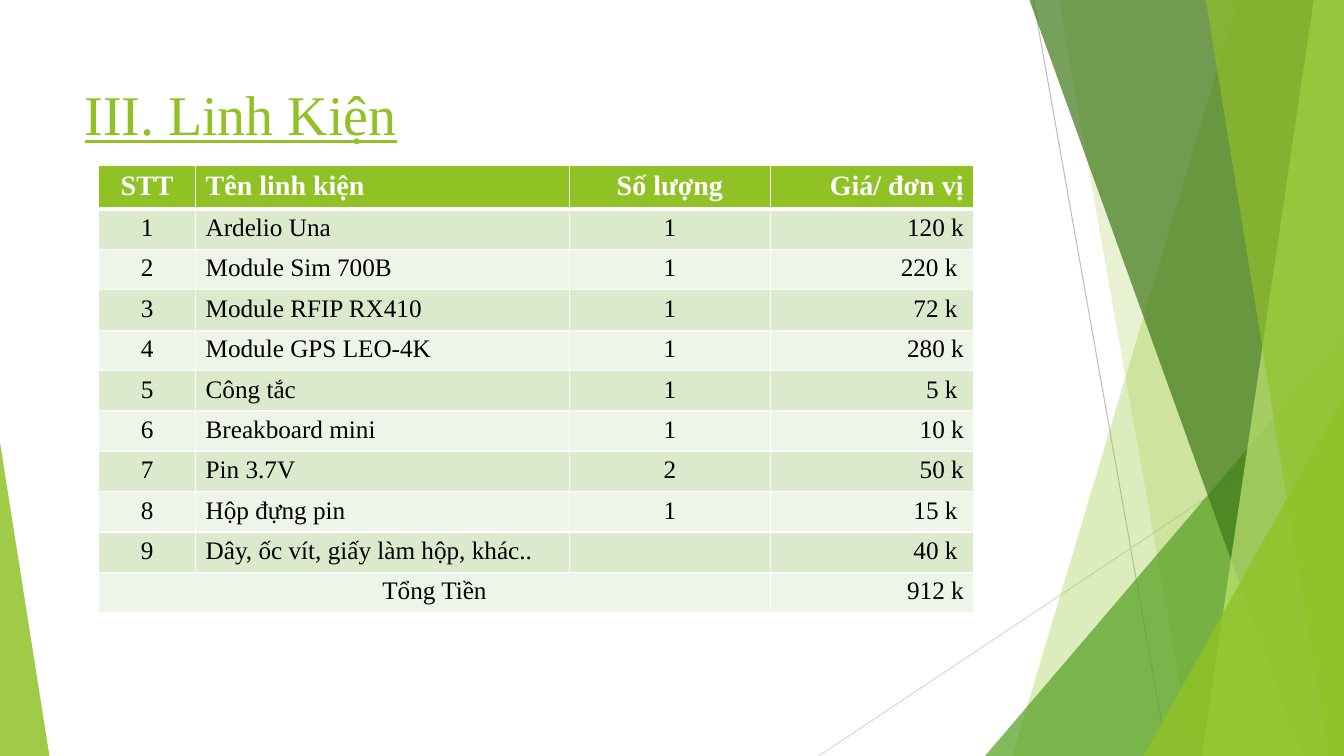
from dataclasses import dataclass

from lxml import etree
from pptx import Presentation
from pptx.dml.color import RGBColor
from pptx.enum.shapes import MSO_CONNECTOR, MSO_SHAPE
from pptx.enum.text import MSO_ANCHOR, PP_ALIGN
from pptx.oxml.ns import qn
from pptx.util import Inches, Pt

LEFT, CENTER, RIGHT = PP_ALIGN.LEFT, PP_ALIGN.CENTER, PP_ALIGN.RIGHT
MIDDLE = MSO_ANCHOR.MIDDLE
TRIANGLE = MSO_SHAPE.ISOSCELES_TRIANGLE
STRAIGHT = MSO_CONNECTOR.STRAIGHT


@dataclass(frozen=True)
class Theme:
    font: str = "Times New Roman"
    green: str = "90C226"
    leaf: str = "54A021"
    forest: str = "3F7819"
    lime: str = "C0E474"
    white: str = "FFFFFF"
    black: str = "000000"
    band_dark: str = "DBE9CD"
    band_light: str = "EEF4E8"
    line_dark: str = "BFBFBF"
    line_light: str = "D9D9D9"
    title_size: int = 40
    header_size: int = 20
    body_size: int = 18
    hairline: float = 0.75
    border: int = 1
    header_border: int = 3


THEME = Theme()

SLIDE_WIDTH, SLIDE_HEIGHT = 13.33, 7.5
FACETS_BOX = (8.12, 0, 5.21, 7.5)
CORNER_BOX = (0, 4.39, 0.49, 3.11)
TITLE_BOX = (0.74, 0.69, 9.4, 0.86)
TABLE_BOX = (0.98, 1.64, 8.68, 3.63)

COLUMN_WIDTHS = (0.96, 3.71, 1.99, 2.02)
COLUMN_ALIGNMENTS = (CENTER, LEFT, CENTER, RIGHT)
HEADER = ("STT", "Tên linh kiện", "Số lượng", "Giá/ đơn vị")
COMPONENTS = (
    ("Ardelio Una", "1", "120 k"),
    ("Module Sim 700B", "1", "220 k "),
    ("Module RFIP RX410", "1", "72 k "),
    ("Module GPS LEO-4K", "1", "280 k"),
    ("Công tắc", "1", "5 k "),
    ("Breakboard mini", "1", "10 k"),
    ("Pin 3.7V", "2", "50 k"),
    ("Hộp đựng pin", "1", "15 k "),
    ("Dây, ốc vít, giấy làm hộp, khác..", "", "40 k "),
)
TOTAL = ("Tổng Tiền", "", "", "912 k")


def apply_font(font, color, **values):
    for name, value in {"name": THEME.font, **values}.items():
        setattr(font, name, value)
    font.color.rgb = RGBColor.from_string(color)


def paint(shape, color, opacity):
    shape.shadow.inherit = False
    shape.line.fill.background()
    shape.fill.solid()
    shape.fill.fore_color.rgb = RGBColor.from_string(color)
    color_element = shape.fill._xPr.find(".//" + qn("a:srgbClr"))
    etree.SubElement(color_element, qn("a:alpha"), val=str(opacity * 1000))


def add_line(slide, start, end, color):
    line = slide.shapes.add_connector(STRAIGHT, *map(Inches, start + end))
    line.line.color.rgb = RGBColor.from_string(color)
    line.line.width = Pt(THEME.hairline)
    etree.SubElement(line._element.spPr, qn("a:effectLst"))


def add_triangle(slide, box, apex, color, opacity):
    triangle = slide.shapes.add_shape(TRIANGLE, *map(Inches, box))
    triangle.adjustments[0] = apex
    paint(triangle, color, opacity)


def add_facets(slide, box):
    left, top, width, height = box
    right, bottom = left + width, top + height

    def add_band(top_offset, bottom_offset, color, opacity):
        points = (
            (left + top_offset, top), (right, top),
            (right, bottom), (left + bottom_offset, bottom),
        )
        corners = [(Inches(x), Inches(y)) for x, y in points]
        builder = slide.shapes.build_freeform(*corners[0])
        builder.add_line_segments(corners[1:], close=True)
        paint(builder.convert_to_shape(), color, opacity)

    def add_wedge(x_offset, y_offset, color, opacity):
        wedge_box = (left + x_offset, top + y_offset, width - x_offset, height - y_offset)
        add_triangle(slide, wedge_box, 1, color, opacity)

    add_line(slide, (left + 2.13, top), (left + 3.46, bottom), THEME.line_dark)
    add_line(slide, (right, top + 4.03), (left, bottom), THEME.line_light)
    for draw, first, second, color, opacity in (
        (add_band, 4.16, 1.92, THEME.green, 30),
        (add_band, 2.38, 3.71, THEME.green, 20),
        (add_wedge, 1.65, 3.33, THEME.leaf, 72),
        (add_band, 2.09, 4.79, THEME.forest, 70),
        (add_band, 4.91, 3.8, THEME.lime, 70),
        (add_band, 3.84, 5.06, THEME.green, 65),
        (add_wedge, 3.22, 3.93, THEME.green, 80),
    ):
        draw(first, second, color, opacity)


def add_title(slide, box):
    frame = slide.shapes.add_textbox(*map(Inches, box)).text_frame
    frame.word_wrap = True
    frame.vertical_anchor = MIDDLE
    run = frame.paragraphs[0].add_run()
    run.text = "III. Linh Kiện"
    apply_font(run.font, THEME.green, size=Pt(THEME.title_size), underline=True)


def set_borders(cell, row_index):
    widths = dict.fromkeys(("lnL", "lnR", "lnT", "lnB"), THEME.border)
    if row_index < 2:
        widths["lnB" if row_index == 0 else "lnT"] = THEME.header_border
    properties = cell._tc.get_or_add_tcPr()
    for side, width in widths.items():
        border = etree.SubElement(properties, qn("a:" + side), w=str(Pt(width)))
        fill = etree.SubElement(border, qn("a:solidFill"))
        etree.SubElement(fill, qn("a:srgbClr"), val=THEME.white)


def fill_cell(cell, text, alignment, row_index):
    is_header = row_index == 0
    size = Pt(THEME.header_size if is_header else THEME.body_size)
    band = THEME.band_dark if row_index % 2 else THEME.band_light
    set_borders(cell, row_index)
    cell.fill.solid()
    cell.fill.fore_color.rgb = RGBColor.from_string(THEME.green if is_header else band)
    paragraph = cell.text_frame.paragraphs[0]
    paragraph.alignment = alignment
    if text:
        run = paragraph.add_run()
        run.text = text
        color = THEME.white if is_header else THEME.black
        apply_font(run.font, color, size=size, bold=is_header)
    else:
        ending = etree.SubElement(paragraph._p, qn("a:endParaRPr"), sz=str(THEME.body_size * 100))
        etree.SubElement(ending, qn("a:latin"), typeface=THEME.font)


def add_component_table(slide, box):
    numbered = [(str(number), *item) for number, item in enumerate(COMPONENTS, 1)]
    rows = [HEADER, *numbered, TOTAL]
    table = slide.shapes.add_table(len(rows), len(HEADER), *map(Inches, box)).table
    for column, width in zip(table.columns, COLUMN_WIDTHS):
        column.width = Inches(width)
    for row_index, row in enumerate(rows):
        for column_index, text in enumerate(row):
            cell = table.cell(row_index, column_index)
            fill_cell(cell, text, COLUMN_ALIGNMENTS[column_index], row_index)
    last = len(rows) - 1
    table.cell(last, 0).merge(table.cell(last, 2))


def main():
    presentation = Presentation()
    presentation.slide_width = Inches(SLIDE_WIDTH)
    presentation.slide_height = Inches(SLIDE_HEIGHT)
    slide = presentation.slides.add_slide(presentation.slide_layouts[6])
    add_facets(slide, FACETS_BOX)
    add_triangle(slide, CORNER_BOX, 0, THEME.green, 85)
    add_title(slide, TITLE_BOX)
    add_component_table(slide, TABLE_BOX)
    presentation.save("out.pptx")


if __name__ == "__main__":
    main()
